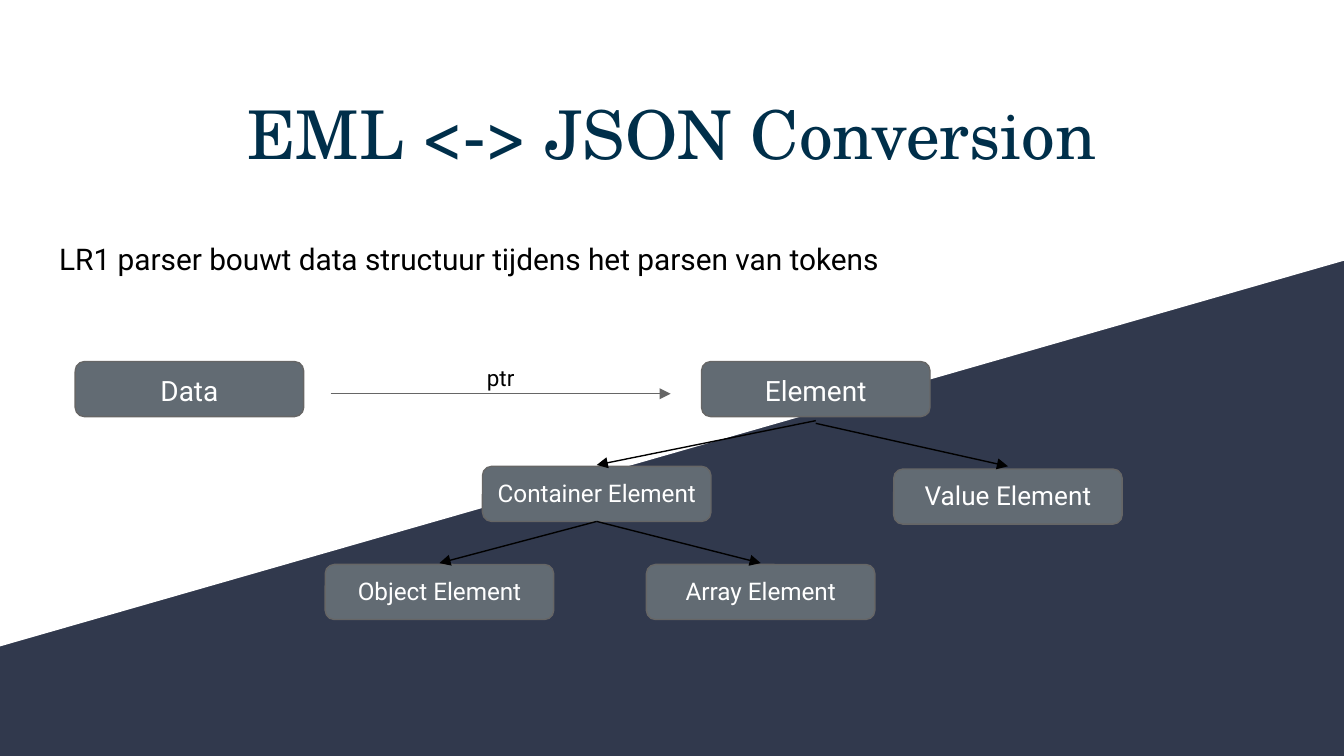
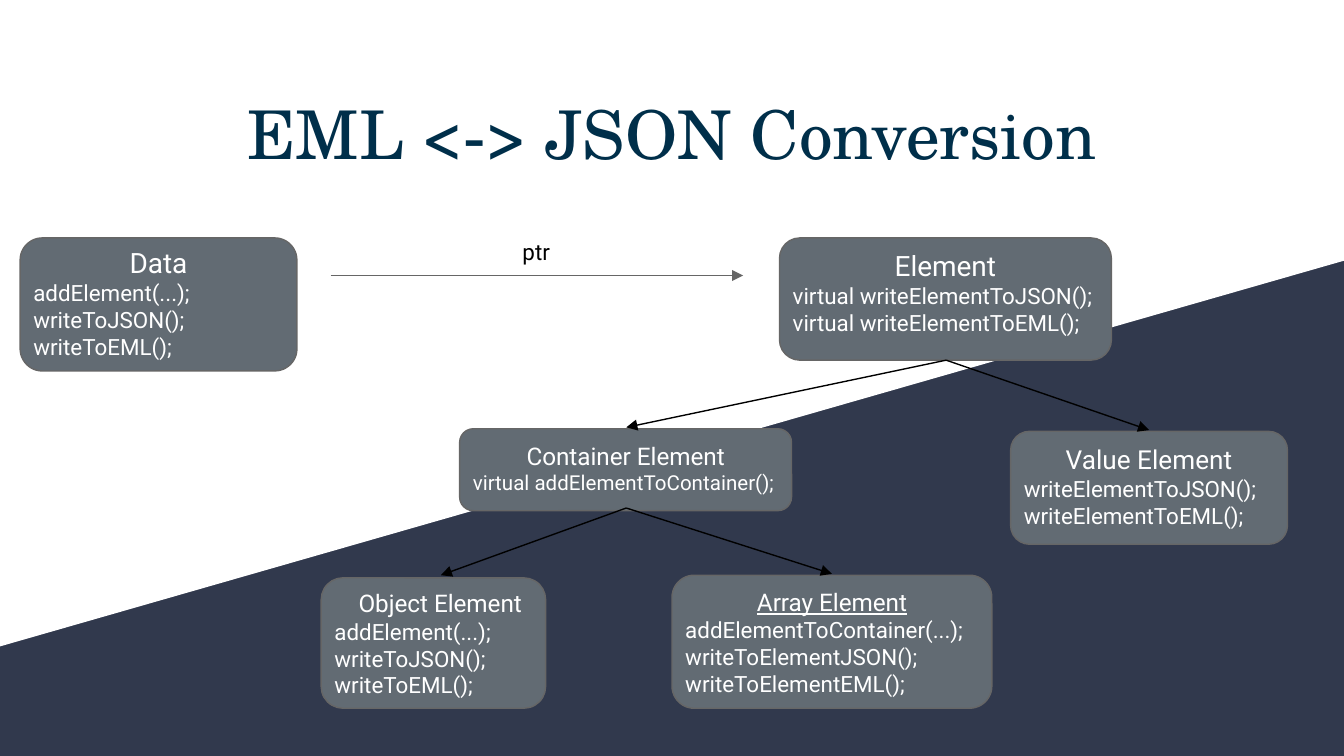
import lxml.etree
import pptx
import pptx.dml.color
import pptx.enum.shapes
import pptx.enum.text
import pptx.oxml.ns
import pptx.util

PX = 9144
NAVY = pptx.dml.color.RGBColor(0x31, 0x39, 0x4D)
TEAL = pptx.dml.color.RGBColor(0x00, 0x2F, 0x4A)
SLATE = pptx.dml.color.RGBColor(0x62, 0x6B, 0x73)
GREY = pptx.dml.color.RGBColor(0x66, 0x66, 0x66)
WHITE = pptx.dml.color.RGBColor(0xFF, 0xFF, 0xFF)
BLACK = pptx.dml.color.RGBColor(0x00, 0x00, 0x00)
SERIF = "TeX Gyre Schola"
SANS = "Roboto"
LEFT = pptx.enum.text.PP_ALIGN.LEFT
CENTER = pptx.enum.text.PP_ALIGN.CENTER
NO_FIT = pptx.enum.text.MSO_AUTO_SIZE.NONE
GROW = pptx.enum.text.MSO_AUTO_SIZE.SHAPE_TO_FIT_TEXT
qn = pptx.oxml.ns.qn


def write(sp, box, lines, color, font=SANS, fit=GROW):
    sp.left, sp.top, sp.width, sp.height = [v * PX for v in box]
    tf = sp.text_frame
    tf.word_wrap = True
    tf.auto_size = fit
    tf.vertical_anchor = pptx.enum.text.MSO_ANCHOR.TOP
    tf.margin_left = tf.margin_right = tf.margin_top = tf.margin_bottom = 10 * PX
    for i, (text, size, align, underline) in enumerate(lines):
        p = tf.add_paragraph() if i else tf.paragraphs[0]
        p.alignment = align
        p.space_before = pptx.util.Pt(0)
        r = p.add_run()
        r.text = text
        r.font.name = font
        r.font.size = pptx.util.Pt(size)
        r.font.color.rgb = color
        if underline:
            r.font.underline = True


def arrow(s, points, color):
    c = s.shapes.add_connector(
        pptx.enum.shapes.MSO_CONNECTOR.STRAIGHT, *[v * PX for v in points])
    c.line.color.rgb = color
    c.line.width = pptx.util.Pt(0.75)
    spPr = c.element.spPr
    lxml.etree.SubElement(spPr.find(qn("a:ln")), qn("a:tailEnd"), type="triangle")
    lxml.etree.SubElement(spPr, qn("a:effectLst"))


slides = [
    {
        "intro": "LR1 parser bouwt data structuur tijdens het parsen van tokens",
        "boxes": [
            ("Data", 15, False, (56, 269, 170, 41), (56, 268, 170, 45), [], 12),
            ("Element", 15, False, (522, 269, 170, 41), (522, 268, 170, 45), [], 12),
            ("Container Element", 13, False, (359, 347, 170, 41), (359, 346, 170, 42), [], 12),
            ("Value Element", 14, False, (665, 349, 170, 41), (665, 347, 170, 44), [], 12),
            ("Object Element", 13, False, (242, 420, 170, 41), (242, 419, 170, 42), [], 12),
            ("Array Element", 13, False, (481, 420, 170, 41), (481, 419, 170, 42), [], 12),
        ],
        "pointer": (246, 293, 499, 293),
        "label": (352, 261, 41, 40),
        "tree": [(607, 313, 444, 346), (607, 315, 750, 347),
                 (444, 388, 327, 419), (444, 388, 566, 419)],
    },
    {
        "intro": None,
        "boxes": [
            ("Data", 15, False, (15, 177, 206, 99), (15, 173, 206, 106),
             ["addElement(...);", "writeToJSON();", "writeToEML();"], 12),
            ("Element", 15, False, (580, 177, 247, 91), (580, 175, 247, 91),
             ["virtual writeElementToJSON();", "virtual writeElementToEML();"], 12),
            ("Container Element", 13, False, (342, 319, 247, 61), (342, 318, 247, 61),
             ["virtual addElementToContainer();"], 11),
            ("Value Element", 14, False, (752, 321, 206, 84), (752, 320, 206, 84),
             ["writeElementToJSON();", "writeElementToEML();"], 12),
            ("Object Element", 13, False, (239, 430, 167, 97), (239, 428, 177, 103),
             ["addElement(...);", "writeToJSON();", "writeToEML();"], 12),
            ("Array Element", 13, True, (500, 428, 238, 99), (500, 427, 238, 103),
             ["addElementToContainer(...);", "writeToElementJSON();",
              "writeToElementEML();"], 12),
        ],
        "pointer": (246, 205, 553, 205),
        "label": (374, 167, 50, 40),
        "tree": [(704, 268, 466, 318), (704, 268, 855, 320),
                 (466, 378, 328, 428), (466, 378, 619, 427)],
    },
]

prs = pptx.Presentation()
prs.slide_width = 1000 * PX
prs.slide_height = prs.slide_width * 9 // 16
layout = prs.slide_layouts[0]
layout.background.fill.solid()
layout.background.fill.fore_color.rgb = NAVY

for i, content in enumerate(slides):
    s = prs.slides.add_slide(layout)
    if i == 0:
        fb = s.shapes.build_freeform(0, 0, scale=PX)
        fb.add_line_segments([(1000, 0), (1000, 194), (0, 481)], close=True)
        wedge = fb.convert_to_shape()
        wedge.shadow.inherit = False
        wedge.fill.solid()
        wedge.fill.fore_color.rgb = WHITE
        wedge.line.fill.background()
        layout.placeholders[0].element.addprevious(wedge.element)

    write(s.shapes.title, (34, 59, 932, 140),
          [("EML <-> JSON Conversion", 36, CENTER, False)], TEAL, SERIF, NO_FIT)
    subtitle = s.placeholders[1]
    if content["intro"]:
        write(subtitle, (34, 169, 819, 81),
              [(content["intro"], 16, LEFT, False)], BLACK, SANS, NO_FIT)
    else:
        subtitle.element.getparent().remove(subtitle.element)

    for name, size, underline, box, text_box, methods, method_size in content["boxes"]:
        sp = s.shapes.add_shape(
            pptx.enum.shapes.MSO_SHAPE.ROUNDED_RECTANGLE, *[v * PX for v in box])
        sp.shadow.inherit = False
        sp.fill.solid()
        sp.fill.fore_color.rgb = SLATE
        sp.line.color.rgb = GREY
        sp.line.width = pptx.util.Pt(0.75)
        lines = [(name, size, CENTER, underline)]
        lines += [(m, method_size, LEFT, False) for m in methods]
        write(s.shapes.add_textbox(0, 0, 0, 0), text_box, lines, WHITE)

    arrow(s, content["pointer"], GREY)
    write(s.shapes.add_textbox(0, 0, 0, 0), content["label"],
          [("ptr", 12, CENTER, False)], BLACK)
    for points in content["tree"]:
        arrow(s, points, BLACK)

prs.save("out.pptx")
